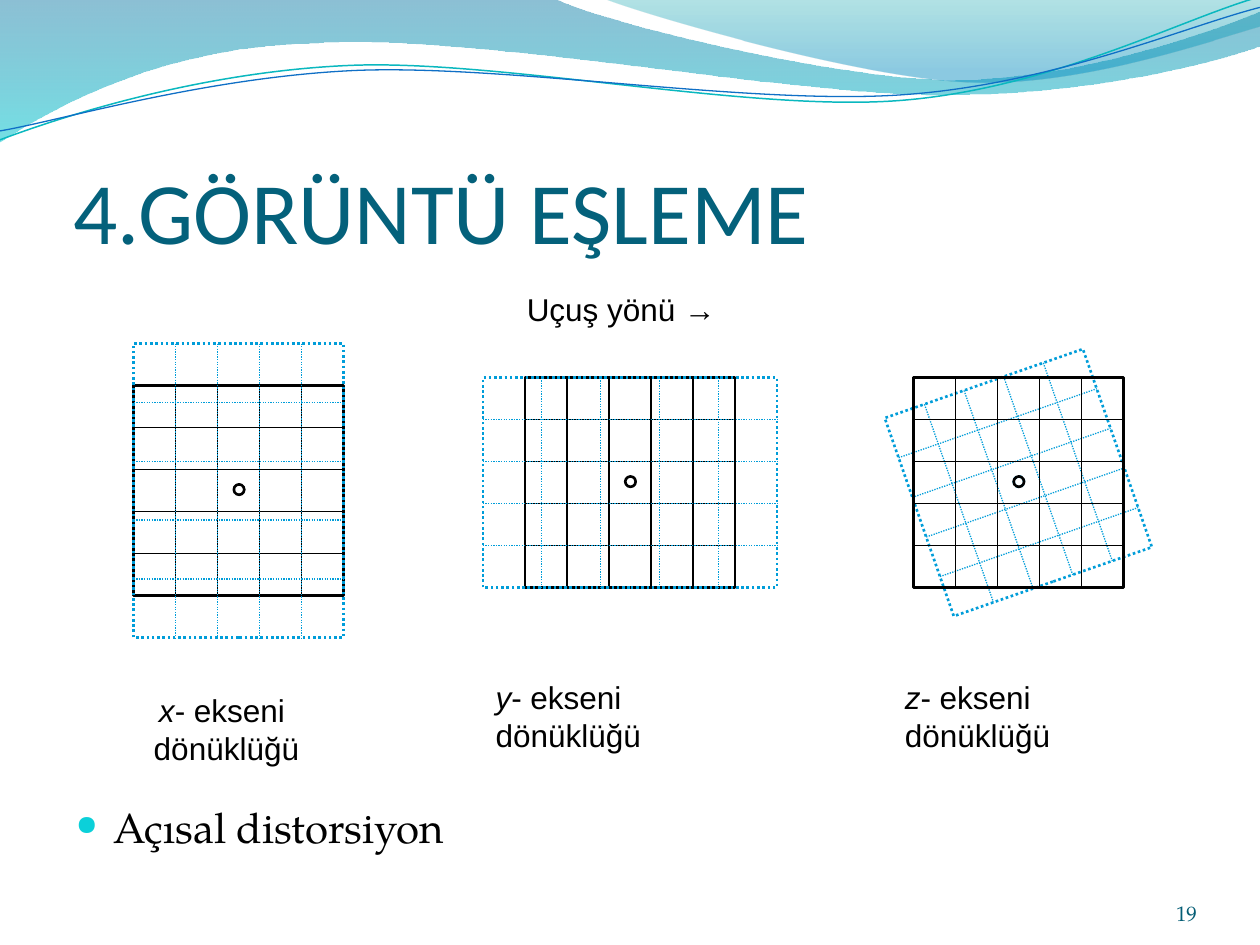
from math import cos, radians, sin

from lxml import etree
from pptx import Presentation
from pptx import util as u
from pptx.dml.color import RGBColor
from pptx.enum import dml, shapes, text
from pptx.oxml.ns import qn

Cm = u.Cm
BLACK, BLUE, TEAL = "000000", "009DD9", "04617B"
SERIF = "TeX Gyre Pagella"
SIDE, LONG = 4.23, 5.93  # square grid and its stretched side, cm
CELLS = 5
TILT = -19.2
DOT = 0.21

# Curves: start point, then 1 point for a line or 3 for a Bezier segment
WAVES = [
    ([(0, 0)], [(11.18, -0.03)],
     [(12.09, 0.43), (16.87, 1.6), (19.25, 1.6)],
     [(21.67, 1.6), (24.33, 0.66), (25.4, 0.23)], [(25.43, 0.91)],
     [(24.97, 1.12), (22.1, 1.93), (18.95, 1.91)],
     [(15.8, 1.91), (9.7, 0.71), (6.53, 0.86)],
     [(3.28, 0.91), (1.17, 2.11), (-0.03, 2.87)]),
    ([(12.17, -0.03)],
     [(12.93, 0.28), (17.32, 1.57), (19.53, 1.65)],
     [(21.74, 1.75), (24.41, 0.81), (25.4, 0.53)], [(25.4, 0)]),
]
WAVE_FILLS = [
    [(0, "0074A1", 45), (1, "00C6CF", 55)],
    [(0, "00A1A9", 30), (0.8, "008BBF", 45)],
]
STRANDS = [
    ("0AB8BF", 0.85, ([(0, 2.82)],
     [(1.22, 2.36), (4.01, 1.45), (7.04, 1.32)],
     [(10.03, 1.19), (15.06, 2.26), (18.11, 2.03)],
     [(21.16, 1.8), (23.83, 0.38), (25.35, -0.05)])),
    ("0F6FC6", 0.75, ([(0, 2.64)],
     [(1.19, 2.44), (4.17, 1.55), (7.19, 1.42)],
     [(10.24, 1.3), (15.16, 2.13), (18.21, 1.91)],
     [(21.23, 1.7), (23.9, 0.53), (25.4, 0.15)])),
]


def rgb(value):
    return RGBColor.from_string(value)


def set_all(obj, values):
    for name, value in values.items():
        setattr(obj, name, value)


def set_line(sp, color, width, dotted=False):
    sp.line.color.rgb = rgb(color)
    sp.line.width = u.Pt(width)
    if dotted:
        sp.line.dash_style = dml.MSO_LINE.ROUND_DOT


def add_curve(slide, segments, closed):
    """Build a freeform, then join each three control points into a Bezier."""
    pts = [(Cm(x), Cm(y)) for seg in segments for x, y in seg]
    builder = slide.shapes.build_freeform(*pts[0])
    builder.add_line_segments(pts[1:], close=closed)
    sp = builder.convert_to_shape()
    sp.shadow.inherit = False
    lines = iter(list(sp._element.iter(qn("a:lnTo"))))
    for seg in segments[1:]:
        parts = [next(lines) for _ in seg]
        if len(parts) == 3:
            bezier = etree.Element(qn("a:cubicBezTo"))
            parts[0].addprevious(bezier)
            for part in parts:
                bezier.append(part[0])
                part.getparent().remove(part)
    return sp


def add_wave(slide, segments, stops):
    sp = add_curve(slide, segments, True)
    sp.line.fill.background()
    sp.fill.gradient()
    sp.fill.gradient_angle = 270
    for stop, (pos, color, _) in zip(sp.fill.gradient_stops, stops):
        stop.position = pos
        stop.color.rgb = rgb(color)
    for clr, (_, _, opacity) in zip(sp._element.spPr.iter(qn("a:srgbClr")), stops):
        etree.SubElement(clr, qn("a:alpha"), val=str(opacity * 1000))


def add_strand(slide, color, width, segments):
    sp = add_curve(slide, segments, False)
    sp.fill.background()
    set_line(sp, color, width)


def add_outline(group, kind, cx, cy, w, h, color, dotted, angle):
    sp = group.shapes.add_shape(kind, Cm(cx - w / 2), Cm(cy - h / 2), Cm(w), Cm(h))
    sp.shadow.inherit = False
    sp.fill.background()
    sp.rotation = angle
    set_line(sp, color, 1.5, dotted)


def add_rule(group, start, end, color, dotted):
    cn = group.shapes.add_connector(
        shapes.MSO_CONNECTOR.STRAIGHT, *(Cm(v) for v in (*start, *end)))
    set_line(cn, color, 0.75, dotted)
    etree.SubElement(cn._element.spPr, qn("a:effectLst"))


def add_grid(group, cx, cy, w, h, color=BLACK, dotted=False, angle=0, dot=True):
    c, s = cos(radians(angle)), sin(radians(angle))

    def turn(x, y):
        return cx + x * c - y * s, cy + x * s + y * c

    add_outline(group, shapes.MSO_SHAPE.RECTANGLE, cx, cy, w, h, color, dotted, angle)
    offsets = [i / CELLS - 0.5 for i in range(1, CELLS)]
    for f in offsets:
        add_rule(group, turn(f * w, -h / 2), turn(f * w, h / 2), color, dotted)
    for f in offsets:
        add_rule(group, turn(-w / 2, f * h), turn(w / 2, f * h), color, dotted)
    if dot:
        add_outline(group, shapes.MSO_SHAPE.OVAL, cx + 0.01, cy - 0.02, DOT, DOT,
                    color, dotted, angle)


def add_text(shape_tree, box, paragraphs, font, size, color=BLACK, align="LEFT", **frame):
    """Each paragraph is a list of (words, italic) runs."""
    sp = shape_tree.add_textbox(*(Cm(v) for v in box))
    tf = sp.text_frame
    set_all(tf, {"word_wrap": True, **frame})
    for i, runs in enumerate(paragraphs):
        p = tf.paragraphs[0] if i == 0 else tf.add_paragraph()
        p.alignment = getattr(text.PP_ALIGN, align)
        for words, italic in runs:
            r = p.add_run()
            r.text = words
            set_all(r.font, {"name": font, "size": u.Pt(size), "italic": italic})
            r.font.color.rgb = rgb(color)
    return sp


def add_bullet(p, color, percent, indent):
    pPr = p._p.get_or_add_pPr()
    for name, value in {"marL": Cm(indent), "indent": -Cm(indent)}.items():
        pPr.set(name, str(value))
    clr = etree.SubElement(pPr, qn("a:buClr"))
    etree.SubElement(clr, qn("a:srgbClr"), val=color)
    etree.SubElement(pPr, qn("a:buSzPct"), val=str(percent * 1000))
    etree.SubElement(pPr, qn("a:buChar"), char="●")


def add_caption(group, left, top, axis, rest="- ekseni", align="LEFT"):
    add_text(group.shapes, (left, top, 4.17, 2.31),
             [[(axis, True), (rest, False)], [("dönüklüğü", False)]],
             "Arial", 18, align=align)


def main():
    prs = Presentation()
    set_all(prs, {"slide_width": Cm(25.4), "slide_height": Cm(19.05)})
    slide = prs.slides.add_slide(prs.slide_layouts[6])
    bottom = text.MSO_ANCHOR.BOTTOM
    flush = {"margin_left": 0, "margin_right": 0, "margin_bottom": 0}

    # Wave header
    for segments, stops in zip(WAVES, WAVE_FILLS):
        add_wave(slide, segments, stops)
    for strand in STRANDS:
        add_strand(slide, *strand)

    # Title, bullet and flight direction
    add_text(slide.shapes, (1.48, 2.11, 22.86, 3.18), [[("4.GÖRÜNTÜ EŞLEME", False)]],
             "Calibri", 50, TEAL, vertical_anchor=bottom, **flush)
    body = add_text(slide.shapes, (1.28, 5.38, 22.86, 12.19), [[("Açısal distorsiyon", False)]],
                    SERIF, 24, vertical_anchor=bottom, margin_bottom=Cm(0.4))
    add_bullet(body.text_frame.paragraphs[0], "0BD0D9", 66, 0.76)
    add_text(slide.shapes, (10.37, 5.72, 5.21, 1.27), [[("Uçuş yönü →", False)]], "Arial", 18)

    # Rotation about x, y and z
    x_fig, y_fig, z_fig = (slide.shapes.add_group_shape() for _ in range(3))
    add_grid(x_fig, 4.81, 9.89, SIDE, SIDE)
    add_grid(x_fig, 4.81, 9.89, SIDE, LONG, BLUE, True, dot=False)
    add_caption(x_fig, 2.48, 13.8, "x", "- ekseni ", "CENTER")

    add_grid(y_fig, 12.7, 9.73, SIDE, SIDE)
    add_grid(y_fig, 12.7, 9.73, LONG, SIDE, BLUE, True, dot=False)
    add_caption(y_fig, 9.74, 13.54, "y")

    add_grid(z_fig, 20.53, 9.73, SIDE, SIDE, BLUE, True, TILT)
    add_grid(z_fig, 20.53, 9.73, SIDE, SIDE)
    add_caption(z_fig, 17.99, 13.54, "z")

    # Slide number
    add_text(slide.shapes, (22.02, 17.65, 2.11, 1.02), [[("19", False)]], SERIF, 12,
             "045D75", "RIGHT", vertical_anchor=bottom, margin_top=0, **flush)

    prs.save("out.pptx")


if __name__ == "__main__":
    main()
